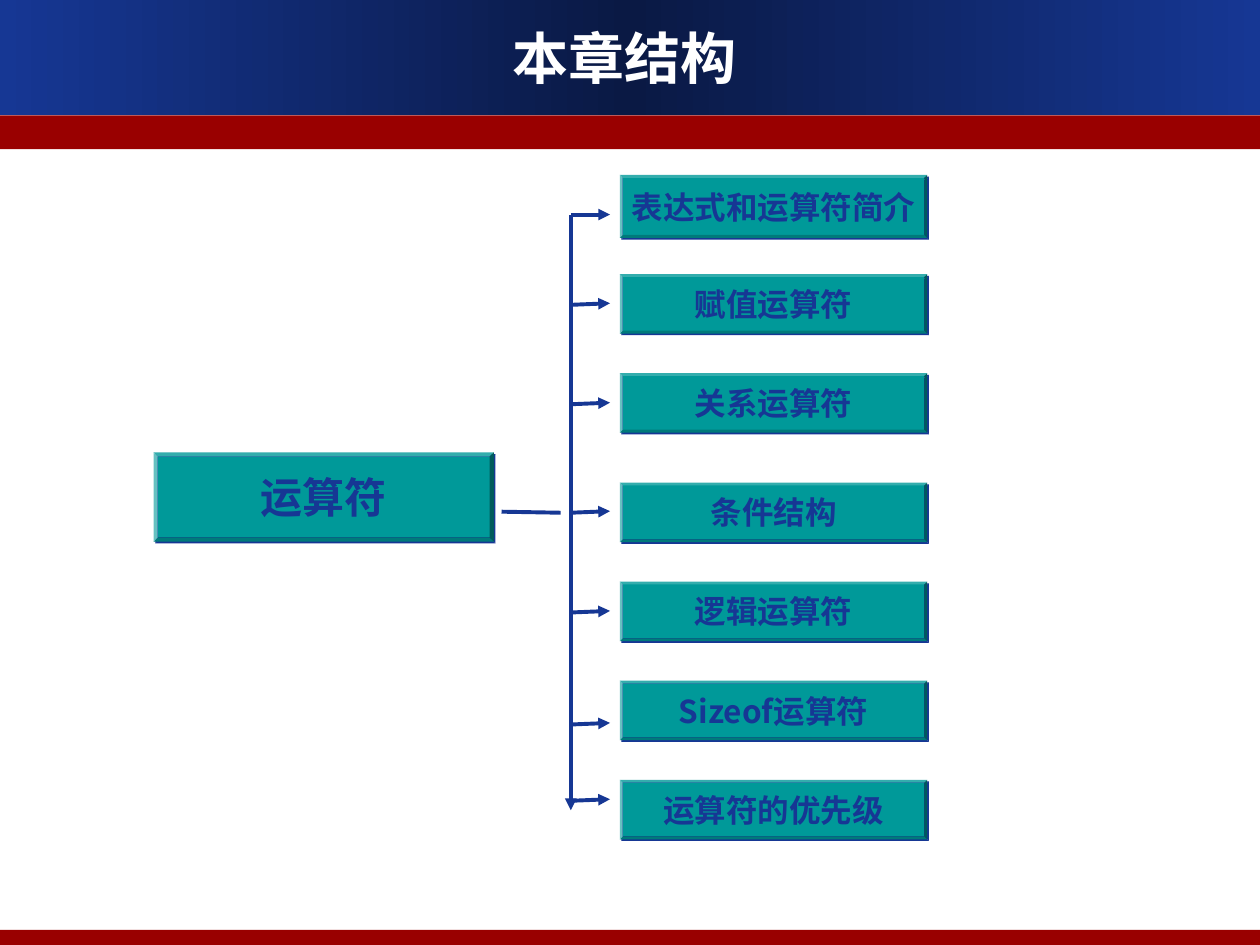
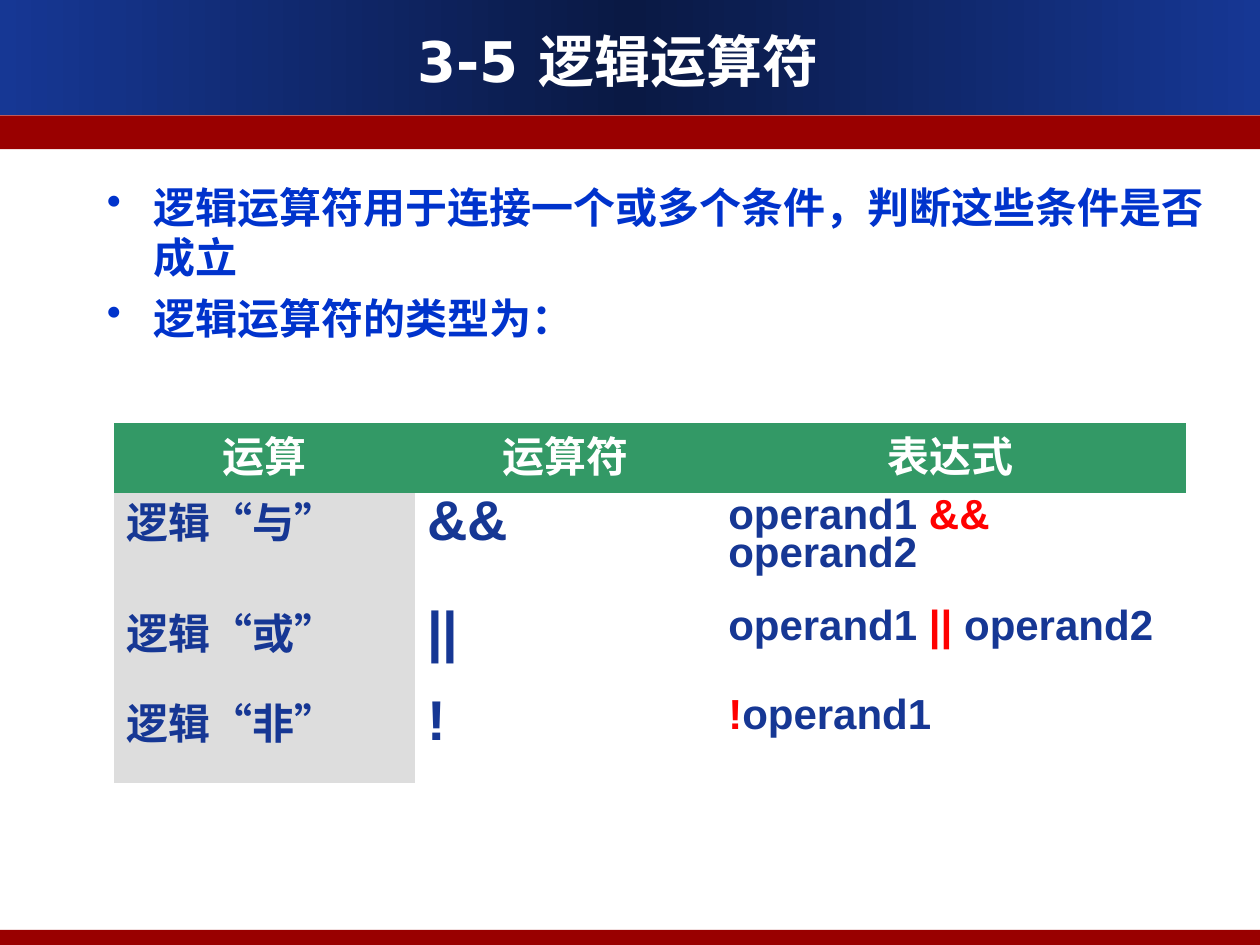
from lxml import etree
from pptx import Presentation
from pptx.dml.color import RGBColor
from pptx.enum.shapes import MSO_CONNECTOR, MSO_SHAPE
from pptx.enum.text import MSO_ANCHOR, MSO_AUTO_SIZE, PP_ALIGN
from pptx.oxml import parse_xml
from pptx.oxml.ns import nsdecls, qn
from pptx.util import Pt

RECT, BEVEL = MSO_SHAPE.RECTANGLE, MSO_SHAPE.BEVEL
STRAIGHT = MSO_CONNECTOR.STRAIGHT
TOP, MIDDLE = MSO_ANCHOR.TOP, MSO_ANCHOR.MIDDLE
LEFT, CENTER = PP_ALIGN.LEFT, PP_ALIGN.CENTER
NO_AUTOFIT = MSO_AUTO_SIZE.NONE

NAVY, DARK_NAVY, WHITE = "163794", "0A1944", "FFFFFF"
DARK_RED, RED, BLUE = "990000", "FF0000", "0033CC"
TEAL, GREEN, GREY = "009999", "339966", "DDDDDD"
TITLE_FONT, BODY_FONT = "DejaVu Sans", "Arial"
CJK_FONT, QUOTE_FONT = "Noto Sans CJK SC", "Times New Roman"
PLAIN_TABLE_STYLE = "{2D5ABB26-0587-4C30-8999-92F81FD0307C}"
TITLE_ONLY_LAYOUT = 5

TRUNK_X, BRANCH_END_X, TOPIC_X = 326.2, 348.6, 354.2
FIRST_TOPIC_Y, TOPIC_PITCH, MIDDLE_GAP = 100, 56.6, 6
TOPICS = [  # label, height of its box, y of its branch
    ("表达式和运算符简介", 36, 122.6),
    ("赋值运算符", 34, 174.2),
    ("关系运算符", 34, 231),
    ("条件结构", 34, 293),
    ("逻辑运算符", 34, 350),
    ("Sizeof运算符", 34, 414),
    ("运算符的优先级", 34, 457.6),
]

POINTS = [
    "逻辑运算符用于连接一个或多个条件，判断这些条件是否成立",
    "逻辑运算符的类型为：",
]
HEADERS = ["运算", "运算符", "表达式"]
OPERATORS = [  # operation, symbol, expression as (text, is symbol)
    ("与", "&&", [("operand1 ", False), ("&&", True), (" operand2", False)]),
    ("或", "||", [("operand1 ", False), ("||", True), (" operand2", False)]),
    ("非", "!", [("!", True), ("operand1", False)]),
]
COLUMN_WIDTHS = [172, 172, 268.6]
ROW_HEIGHTS = [40, 63.4, 51, 51]


def rgb(hex_color):
    return RGBColor.from_string(hex_color)


def style_paragraph(paragraph, size, color, font_name=BODY_FONT, align=LEFT,
                    space_before=0):
    paragraph.alignment = align
    paragraph.space_before = Pt(space_before)
    font = paragraph.font
    font.size, font.bold, font.name = Pt(size), True, font_name
    font.color.rgb = rgb(color)
    east_asian = etree.SubElement(font._element, qn("a:ea"))
    east_asian.set("typeface", CJK_FONT)


def set_margins(frame, horizontal, vertical):
    frame.margin_left = frame.margin_right = Pt(horizontal)
    frame.margin_top = frame.margin_bottom = Pt(vertical)


def add_band(slide, top, height, color):
    band = slide.shapes.add_shape(RECT, 0, Pt(top), Pt(720), Pt(height))
    band.shadow.inherit = False
    band.line.fill.background()
    band.fill.solid()
    band.fill.fore_color.rgb = rgb(color)
    return band


def set_gradient(shape, colors):
    """Fill from left to right with evenly spaced colours."""
    step = 100000 // (len(colors) - 1)
    stops = "".join(
        f'<a:gs pos="{i * step}"><a:srgbClr val="{color}"/></a:gs>'
        for i, color in enumerate(colors))
    gradient = parse_xml(
        f'<a:gradFill {nsdecls("a")} rotWithShape="1"><a:gsLst>{stops}</a:gsLst>'
        '<a:lin ang="0" scaled="0"/></a:gradFill>')
    properties = shape._element.spPr
    properties.replace(properties.find(qn("a:solidFill")), gradient)


def move_to_layout(shapes, layout):
    """Put shapes behind everything on the layout, for all its slides."""
    for i, shape in enumerate(shapes):
        element = shape._element
        element.nvSpPr.cNvPr.set("id", str(100 + i))
        layout.shapes._spTree.insert(2 + i, element)


def add_shared_bands(slide):
    header = add_band(slide, 0, 65.6, NAVY)
    set_gradient(header, [NAVY, DARK_NAVY, NAVY])
    stripe = add_band(slide, 66, 19.2, DARK_RED)
    footer = add_band(slide, 531.4, 8.6, DARK_RED)
    move_to_layout([header, stripe, footer], slide.slide_layout)


def set_title(slide, text, top):
    title = slide.shapes.title
    title.left, title.top = Pt(23.8), Pt(top)
    title.width, title.height = Pt(666), Pt(45.4)
    frame = title.text_frame
    frame.text = text
    frame.word_wrap = True
    frame.auto_size = NO_AUTOFIT
    frame.vertical_anchor = MIDDLE
    set_margins(frame, 0, 0)
    style_paragraph(frame.paragraphs[0], 32, WHITE, TITLE_FONT, CENTER)


def add_box(slide, text, left, top, width, height, size):
    """Bevelled teal box with a hard navy shadow."""
    box = slide.shapes.add_shape(BEVEL, Pt(left), Pt(top), Pt(width), Pt(height))
    box.adjustments[0] = 0.047
    box.fill.solid()
    box.fill.fore_color.rgb = rgb(TEAL)
    box.line.fill.background()
    box.shadow.inherit = False
    box._element.spPr.find(qn("a:effectLst")).append(parse_xml(
        f'<a:outerShdw {nsdecls("a")} dist="17780" dir="2700000" algn="ctr" '
        f'rotWithShape="0"><a:srgbClr val="{NAVY}"/></a:outerShdw>'))
    frame = box.text_frame
    frame.text = text
    frame.word_wrap = False
    frame.vertical_anchor = MIDDLE
    set_margins(frame, 7.2, 3.6)
    style_paragraph(frame.paragraphs[0], size, NAVY, CJK_FONT, CENTER, size * 0.625)


def add_line(slide, start, end, arrow=True):
    line = slide.shapes.add_connector(
        STRAIGHT, Pt(start[0]), Pt(start[1]), Pt(end[0]), Pt(end[1]))
    line.line.color.rgb = rgb(NAVY)
    line.line.width = Pt(2.25)
    if arrow:
        etree.SubElement(line.line._get_or_add_ln(), qn("a:tailEnd"), type="triangle")
    etree.SubElement(line._element.spPr, qn("a:effectLst"))


def add_bullets(slide, points):
    box = slide.shapes.add_textbox(Pt(54), Pt(100), Pt(648), Pt(124.6))
    frame = box.text_frame
    frame.word_wrap = True
    set_margins(frame, 7.2, 3.6)
    for i, point in enumerate(points):
        paragraph = frame.add_paragraph() if i else frame.paragraphs[0]
        paragraph.text = point
        style_paragraph(paragraph, 24, BLUE, space_before=6)
        properties = paragraph._p.get_or_add_pPr()
        properties.set("marL", str(Pt(26.6)))
        properties.set("indent", str(-Pt(26.6)))
        bullet = etree.Element(qn("a:buChar"), char="•")
        properties.find(qn("a:defRPr")).addprevious(bullet)


def fill_cell(cell, runs, size=24, color=NAVY, fill=None, align=LEFT,
              anchor=TOP, space_before=0):
    """Each run is (text, font name, colour); None keeps the cell's own."""
    if fill:
        cell.fill.solid()
        cell.fill.fore_color.rgb = rgb(fill)
    else:
        cell.fill.background()
    cell.vertical_anchor = anchor
    set_margins(cell, 7.2, 3.6)
    paragraph = cell.text_frame.paragraphs[0]
    style_paragraph(paragraph, size, color, align=align, space_before=space_before)
    paragraph.line_spacing = 0.81
    for text, font_name, run_color in runs:
        run = paragraph.add_run()
        run.text = text
        if font_name:
            run.font.name = font_name
        if run_color:
            run.font.color.rgb = rgb(run_color)


def add_operator_table(slide):
    table = slide.shapes.add_table(
        len(ROW_HEIGHTS), len(COLUMN_WIDTHS), Pt(65), Pt(241.8),
        Pt(sum(COLUMN_WIDTHS)), Pt(sum(ROW_HEIGHTS))).table
    table._tbl.tblPr.find(qn("a:tableStyleId")).text = PLAIN_TABLE_STYLE
    for column, width in zip(table.columns, COLUMN_WIDTHS):
        column.width = Pt(width)
    for row, height in zip(table.rows, ROW_HEIGHTS):
        row.height = Pt(height)
    for i, header in enumerate(HEADERS):
        fill_cell(table.cell(0, i), [(header, None, None)], color=WHITE,
                  fill=GREEN, align=CENTER, anchor=MIDDLE,
                  space_before=6 if i < 2 else 0)
    for i, (operation, symbol, expression) in enumerate(OPERATORS, start=1):
        quoted = [("逻辑", None, None), ("“", QUOTE_FONT, None),
                  (operation, None, None), ("”", QUOTE_FONT, None)]
        fill_cell(table.cell(i, 0), quoted, fill=GREY)
        fill_cell(table.cell(i, 1), [(symbol, None, None)], size=32, space_before=8)
        fill_cell(table.cell(i, 2), [(text, None, RED if is_symbol else None)
                                     for text, is_symbol in expression])


def build_structure(slide):
    set_title(slide, "本章结构", 10)
    add_box(slide, "运算符", 87.8, 258.5, 194.4, 51, 24)
    add_line(slide, (286.6, 292.4), (320.4, 293), arrow=False)
    add_line(slide, (TRUNK_X, TOPICS[0][2]), (TRUNK_X, 463))
    for i, (label, height, branch_y) in enumerate(TOPICS):
        top = FIRST_TOPIC_Y + i * TOPIC_PITCH + (MIDDLE_GAP if i > 2 else 0)
        add_box(slide, label, TOPIC_X, top, 175.7, height, 18)
        rise = 0.9 if i else 0
        add_line(slide, (TRUNK_X, branch_y), (BRANCH_END_X, branch_y - rise))


def build_logic_operators(slide):
    set_title(slide, "3-5 逻辑运算符 ", 11.5)
    add_operator_table(slide)
    add_bullets(slide, POINTS)


def main():
    deck = Presentation()
    deck.slide_width, deck.slide_height = Pt(720), Pt(540)
    layout = deck.slide_layouts[TITLE_ONLY_LAYOUT]
    structure = deck.slides.add_slide(layout)
    add_shared_bands(structure)
    build_structure(structure)
    build_logic_operators(deck.slides.add_slide(layout))
    deck.save("out.pptx")


if __name__ == "__main__":
    main()
